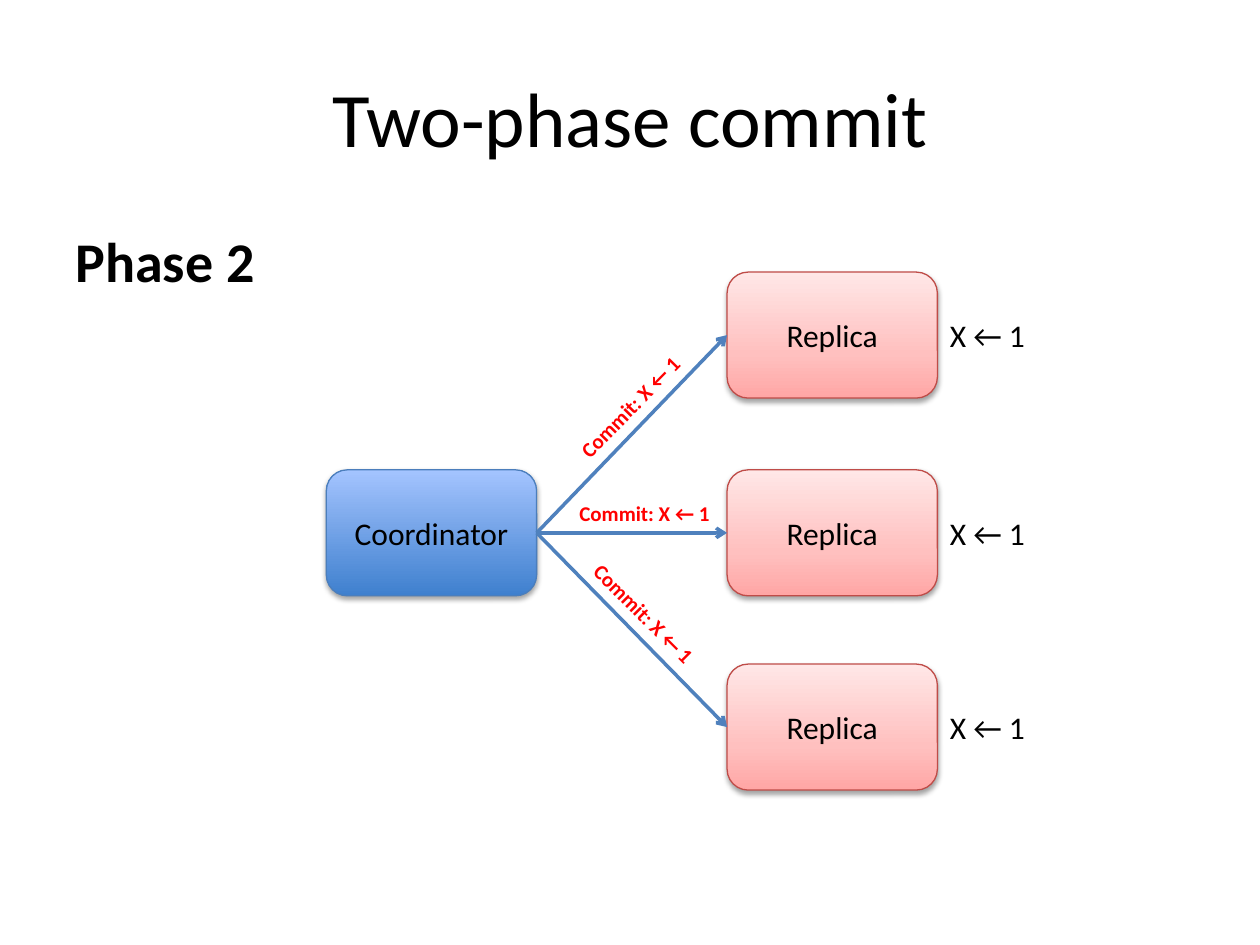
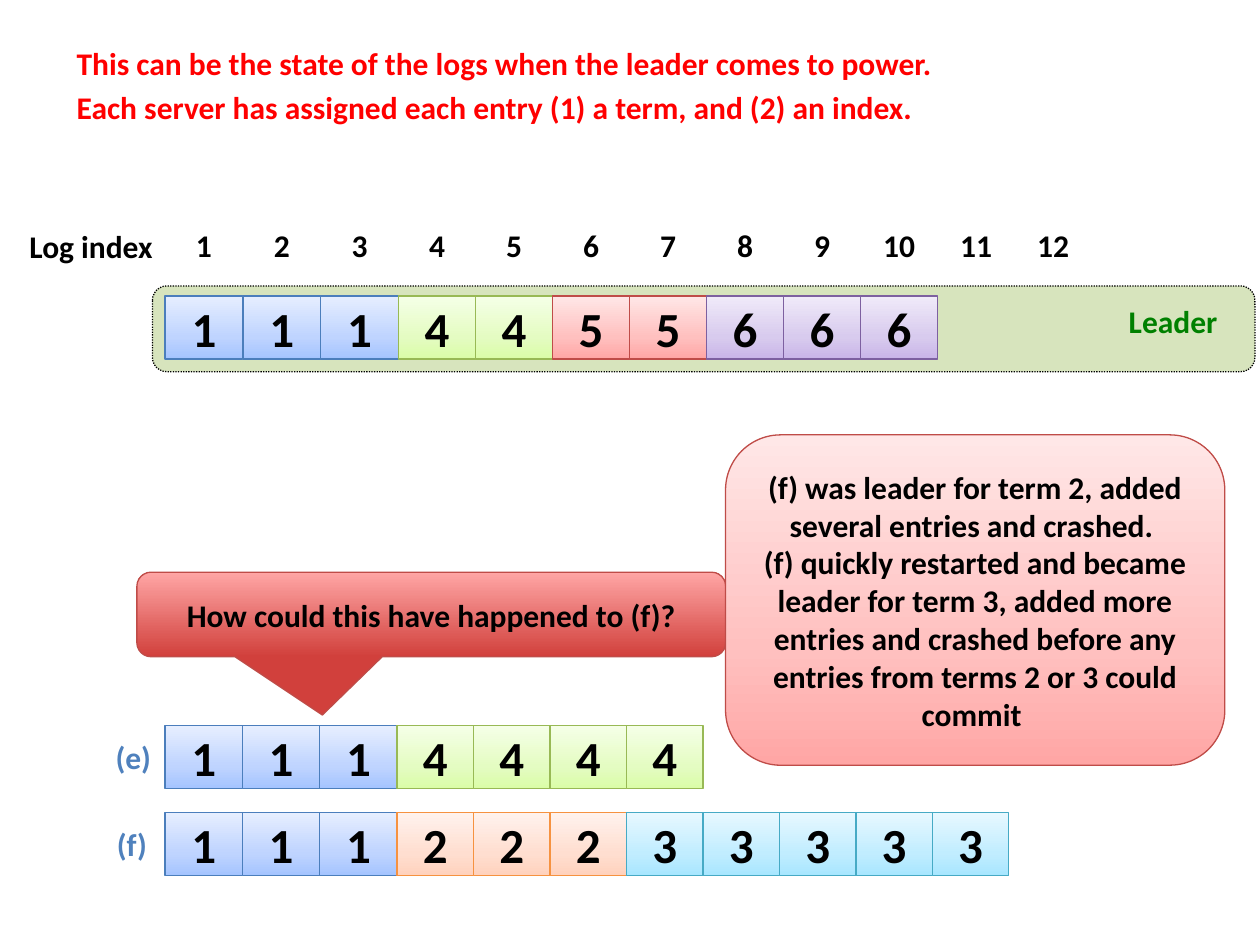
from lxml import etree
from pptx import Presentation
from pptx.dml.color import RGBColor
from pptx.enum.dml import MSO_LINE
from pptx.enum.shapes import MSO_CONNECTOR, MSO_SHAPE
from pptx.enum.text import MSO_ANCHOR, MSO_AUTO_SIZE, PP_ALIGN
from pptx.oxml.ns import qn
from pptx.util import Pt

FONT = "Calibri"
BLACK = RGBColor(0x00, 0x00, 0x00)
RED = RGBColor(0xFF, 0x00, 0x00)
GREEN = RGBColor(0x00, 0x80, 0x00)
BLUE = RGBColor(0x4F, 0x81, 0xBD)
BAND_GREEN = RGBColor(0xD7, 0xE4, 0xBD)
BLUE_EDGE = RGBColor(0x4B, 0x7E, 0xBC)
RED_EDGE = RGBColor(0xBF, 0x4C, 0x48)
GREEN_EDGE = RGBColor(0x98, 0xB9, 0x55)
PURPLE_EDGE = RGBColor(0x7D, 0x60, 0xA0)
ORANGE_EDGE = RGBColor(0xF6, 0x92, 0x40)
AQUA_EDGE = RGBColor(0x46, 0xAA, 0xC5)


def gradient(*colours):
    """Pair colours with stops, from the bottom of a shape to its top."""
    stops = (0, 100) if len(colours) == 2 else (0, 35, 100)
    return [(stop, RGBColor.from_string(colour)) for stop, colour in zip(stops, colours)]


STRONG_BLUE = gradient("3F80CE", "A4C4FF")
STRONG_RED = gradient("D1403C", "FFA6A5")
PALE_RED = gradient("FFA6A5", "FFC0BF", "FFE7E7")
TERM_STYLES = {
    1: (gradient("A4C4FF", "BFD4FF", "E6EEFF"), BLUE_EDGE),
    2: (gradient("FFD2BD", "FFDED0", "FFF2ED"), ORANGE_EDGE),
    3: (gradient("A7E6FF", "C1EDFF", "E7F8FF"), AQUA_EDGE),
    4: (gradient("DAFDA7", "E4FCC2", "F5FFE7"), GREEN_EDGE),
    5: (PALE_RED, RED_EDGE),
    6: (gradient("C9B5E8", "D8CBEE", "F0EAF9"), PURPLE_EDGE),
}

LEFT, CENTER, RIGHT = PP_ALIGN.LEFT, PP_ALIGN.CENTER, PP_ALIGN.RIGHT
TOP, MIDDLE = MSO_ANCHOR.TOP, MSO_ANCHOR.MIDDLE
FIT_SHAPE = MSO_AUTO_SIZE.SHAPE_TO_FIT_TEXT
ROUND_DOT = MSO_LINE.ROUND_DOT
STRAIGHT = MSO_CONNECTOR.STRAIGHT
RECTANGLE = MSO_SHAPE.RECTANGLE
ROUNDED = MSO_SHAPE.ROUNDED_RECTANGLE
CALLOUT = MSO_SHAPE.ROUNDED_RECTANGULAR_CALLOUT
LEFT_SITE, RIGHT_SITE = 1, 3

NODE_WIDTH, NODE_HEIGHT = 120.2, 72
REPLICA_LEFT, REPLICA_TOPS = 415.5, (155.5, 268.5, 379.5)
COMMIT_LABELS = ((324, 282.2, 0), (315.4, 221, -45.5), (323.3, 340.6, 45.1))
LOG_LEFT, CELL_HEIGHT = 94.3, 36
LEADER_PITCH, FOLLOWER_PITCH = 44, 43.7
LEADER_TERMS = (1, 1, 1, 4, 4, 5, 5, 6, 6, 6)
FOLLOWERS = (
    ("(e)", 59, 414.7, (1, 1, 1, 4, 4, 4, 4)),
    ("(f)", 59.7, 464.4, (1, 1, 1, 2, 2, 2, 3, 3, 3, 3, 3)),
)


def points(*lengths):
    """Turn numbers into lengths in points."""
    return [Pt(length) for length in lengths]


def write_text(frame, lines, size, bold=False, colour=BLACK, align=LEFT):
    """Fill a text frame with one run for each line."""
    for number, line in enumerate(lines):
        paragraph = frame.add_paragraph() if number else frame.paragraphs[0]
        paragraph.alignment = align
        run = paragraph.add_run()
        run.text = line
        run.font.name = FONT
        run.font.size = Pt(size)
        run.font.bold = bold
        run.font.color.rgb = colour


def add_label(slide, text, box, size=18, bold=True, colour=BLACK, align=LEFT,
              anchor=TOP, wrap=True, rotation=0):
    """Add a text box at (left, top, width, height)."""
    label = slide.shapes.add_textbox(*points(*box))
    label.rotation = rotation
    frame = label.text_frame
    frame.word_wrap = wrap
    frame.vertical_anchor = anchor
    if anchor == TOP:
        frame.auto_size = FIT_SHAPE
    write_text(frame, [text], size, bold, colour, align)
    return label


def add_outlined_shape(slide, kind, box, edge):
    """Add a preset shape with a thin outline and no shadow."""
    shape = slide.shapes.add_shape(kind, *points(*box))
    shape.shadow.inherit = False
    shape.line.color.rgb = edge
    shape.line.width = Pt(0.75)
    return shape


def add_gradient_box(slide, kind, box, stops, edge, lines, size=18, bold=True, wrap=True):
    """Add a shape with a vertical gradient and centred text."""
    shape = add_outlined_shape(slide, kind, box, edge)
    shape.fill.gradient()
    shape.fill.gradient_angle = 90
    stop_list = shape.element.spPr.find(qn("a:gradFill")).find(qn("a:gsLst"))
    for old_stop in list(stop_list):
        stop_list.remove(old_stop)
    for position, colour in stops:
        stop = etree.SubElement(stop_list, qn("a:gs"), pos=str(position * 1000))
        etree.SubElement(stop, qn("a:srgbClr"), val=str(colour))
    shape.text_frame.word_wrap = wrap
    shape.text_frame.vertical_anchor = MIDDLE
    write_text(shape.text_frame, lines, size, bold, align=CENTER)
    return shape


def add_node(slide, name, left, top, stops, edge):
    """Add a server box with a soft shadow below it."""
    box = (left, top, NODE_WIDTH, NODE_HEIGHT)
    node = add_gradient_box(slide, ROUNDED, box, stops, edge, [name], bold=False)
    effects = node.element.spPr.find(qn("a:effectLst"))
    shadow = etree.SubElement(effects, qn("a:outerShdw"), blurRad=str(Pt(3.1)),
                              dist=str(Pt(1.8)), dir="5400000", rotWithShape="0")
    colour = etree.SubElement(shadow, qn("a:srgbClr"), val=str(BLACK))
    etree.SubElement(colour, qn("a:alpha"), val="36000")
    return node


def add_arrow(slide, source, target):
    """Join the right side of one node to the left side of another."""
    arrow = slide.shapes.add_connector(STRAIGHT, *points(0, 0, 0, 0))
    arrow.begin_connect(source, RIGHT_SITE)
    arrow.end_connect(target, LEFT_SITE)
    arrow.line.color.rgb = BLUE
    arrow.line.width = Pt(2)
    properties = arrow.element.spPr
    etree.SubElement(properties.find(qn("a:ln")), qn("a:tailEnd"), type="arrow")
    etree.SubElement(properties, qn("a:effectLst"))


def column_span(column, pitch):
    """Return left and width of a log column; the first three are wider."""
    extra = 0.5
    left = LOG_LEFT + column * pitch + min(column, 3) * extra
    return left, pitch + (extra if column < 3 else 0)


def add_log(slide, terms, top, pitch):
    """Add a row of log cells coloured by term."""
    for column, term in enumerate(terms):
        left, width = column_span(column, pitch)
        stops, edge = TERM_STYLES[term]
        add_gradient_box(slide, RECTANGLE, (left, top, width, CELL_HEIGHT), stops, edge,
                         [str(term)], size=28, wrap=False)


def build_commit_slide(presentation):
    """Build the slide on the second phase of the commit."""
    slide = presentation.slides.add_slide(presentation.slide_layouts[5])
    title = slide.shapes.title
    title.left, title.top, title.width, title.height = points(36, 21.6, 648, 90)
    title.text_frame.vertical_anchor = MIDDLE
    write_text(title.text_frame, ["Two-phase commit"], 44, align=CENTER)
    add_label(slide, "Phase 2", (36, 126, 648, 46), size=32)

    coordinator = add_node(slide, "Coordinator", 186.5, REPLICA_TOPS[1], STRONG_BLUE, BLUE_EDGE)
    for top in REPLICA_TOPS:
        replica = add_node(slide, "Replica", REPLICA_LEFT, top, PALE_RED, RED_EDGE)
        add_label(slide, "X ← 1", (REPLICA_LEFT + NODE_WIDTH, top + 21.4, 59, 29),
                  bold=False, wrap=False)
        add_arrow(slide, coordinator, replica)
    for left, top, rotation in COMMIT_LABELS:
        add_label(slide, "Commit: X ← 1", (left, top, 90.7, 21.8), size=12, colour=RED,
                  wrap=False, rotation=rotation)


def build_log_slide(presentation):
    """Build the slide that compares the logs of the servers."""
    slide = presentation.slides.add_slide(presentation.slide_layouts[6])
    add_label(slide, "This can be the state of the logs when the leader comes to power.",
              (36.7, 21.6, 648, 29), colour=RED)
    add_label(slide, "Each server has assigned each entry (1) a term, and (2) an index.",
              (36.7, 46.8, 648, 29), colour=RED)

    add_label(slide, "Log index", (0, 126, LOG_LEFT, 29), align=RIGHT)
    for column in range(12):
        left, width = column_span(column, LEADER_PITCH)
        add_label(slide, str(column + 1), (left, 125.6, width, 29), align=CENTER)

    band = add_outlined_shape(slide, ROUNDED, (87.1, 163.4, 630, 49), BLACK)
    band.fill.solid()
    band.fill.fore_color.rgb = BAND_GREEN
    band.line.dash_style = ROUND_DOT
    add_log(slide, LEADER_TERMS, 169.2, LEADER_PITCH)
    add_label(slide, "Leader", (637.9, 169.2, 73.4, 29), colour=GREEN)

    for name, left, top, terms in FOLLOWERS:
        add_label(slide, name, (left, top, 34.6, CELL_HEIGHT), colour=BLUE, anchor=MIDDLE)
        add_log(slide, terms, top, FOLLOWER_PITCH)

    question = add_gradient_box(slide, CALLOUT, (78.2, 327, 336.5, 48.3), STRONG_RED, RED_EDGE,
                                ["How could this have happened to (f)?"])
    for number, value in enumerate((-0.185, 1.19, 0.167)):
        question.adjustments[number] = value
    add_gradient_box(slide, ROUNDED, (414.6, 248.5, 285.3, 188.8), PALE_RED, RED_EDGE, [
        "(f) was leader for term 2, added several entries and crashed. ",
        "(f) quickly restarted and became leader for term 3, added more entries "
        "and crashed before any entries from terms 2 or 3 could commit ",
    ])


def main():
    """Build both slides and save them."""
    presentation = Presentation()
    presentation.slide_width, presentation.slide_height = points(720, 540)
    build_commit_slide(presentation)
    build_log_slide(presentation)
    presentation.save("out.pptx")


if __name__ == "__main__":
    main()
